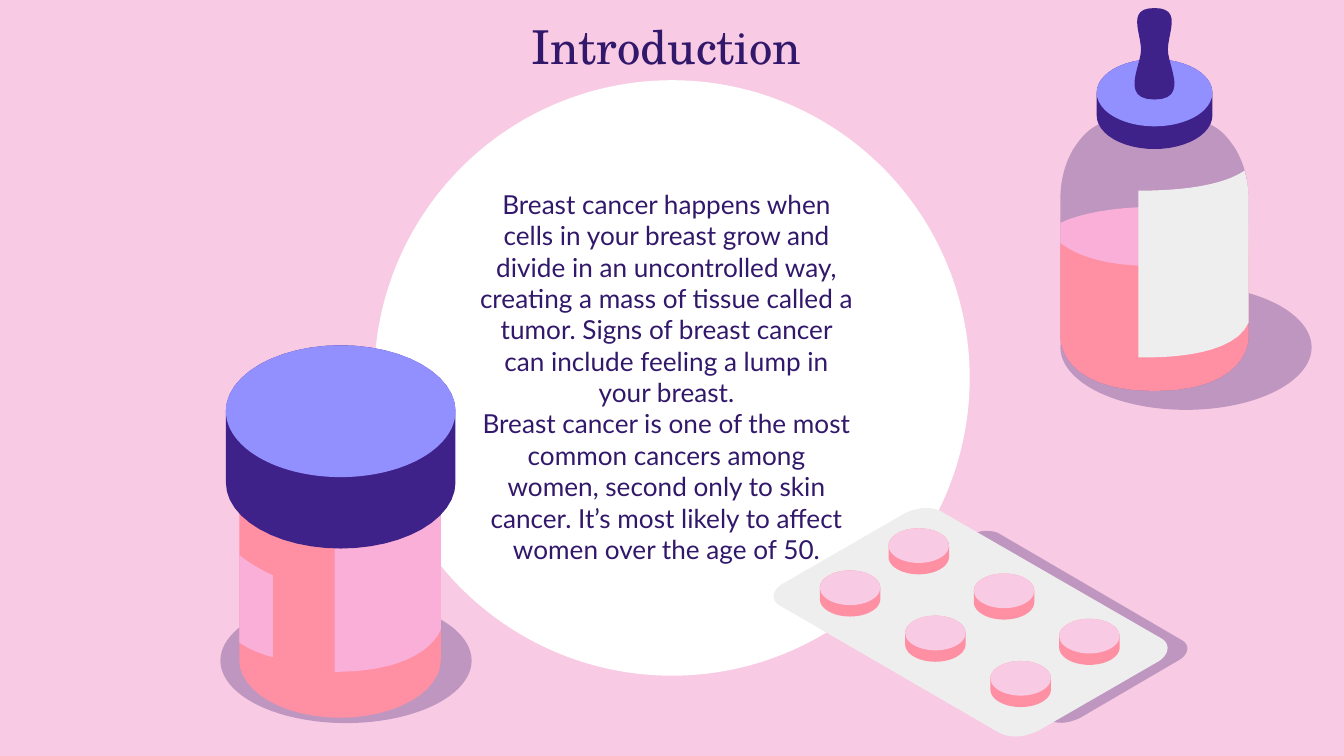
"""Build the Introduction slide with its jar, pill pack and dropper bottle."""
from math import cos, pi, sin
from lxml.etree import SubElement
from pptx import Presentation
from pptx.dml.color import RGBColor
from pptx.enum.shapes import MSO_SHAPE
from pptx.enum.text import MSO_ANCHOR, MSO_AUTO_SIZE, PP_ALIGN
from pptx.oxml.ns import qn
from pptx.util import Pt

INK = RGBColor(0x32, 0x18, 0x6B)
DARK = RGBColor(0x3E, 0x22, 0x89)
LILAC = RGBColor(0x92, 0x90, 0xFF)
CORAL = RGBColor(0xFF, 0x8F, 0xA3)
ROSE = RGBColor(0xF9, 0xAF, 0xD7)
PINK = RGBColor(0xF9, 0xCA, 0xE3)
GREY = RGBColor(0xEE, 0xEE, 0xEE)
WHITE = RGBColor(0xFF, 0xFF, 0xFF)

TITLE = "Introduction"
BODY = [
    "Breast cancer happens when cells in your breast grow and divide in an "
    "uncontrolled way, creating a mass of tissue called a tumor. Signs of "
    "breast cancer can include feeling a lump in your breast.",
    "Breast cancer is one of the most common cancers among women, second only "
    "to skin cancer. It’s most likely to affect women over the age of 50.",
]

PACK = [
    (83.5, 0), (79.2, 0, 74.9, 1.4, 72, 2.9), (7.2, 40.3),
    (0.7, 43.9, 0, 49.7, 5.8, 52.6), (122.4, 120.2),
    (125.3, 121.7, 128.2, 122.4, 131.8, 122.4),
    (135.4, 122.4, 139.7, 121, 143.3, 119.5), (208.1, 82.1),
    (213.8, 78.5, 214.6, 72.7, 209.5, 69.8), (92.2, 2.2),
    (90, 0.7, 86.4, 0, 83.5, 0),
]
JAR_TAGS = [
    [(128.2, 297.4), (128.2, 344.2), (128.2, 344.2, 134.6, 349.2, 146.2, 352.1),
     (146.2, 308.2), (146.2, 308.2, 136.1, 303.8, 128.2, 297.4)],
    [(236.2, 255.6), (179.3, 275.8), (179.3, 360),
     (229.7, 360, 236.2, 337, 236.2, 337)],
]
MID = 618.5
GLASS = [
    (MID, 59), (MID, 59, 607.7, 59, 589.7, 66.2),
    (582.5, 69.1, 578.2, 74.9, 574.6, 80.6),
    (570.2, 88.6, 568.1, 97.2, 568.1, 106.6), (568.1, 181.4),
    (568.1, 181.4, 568.1, 209.5, MID, 209.5),
]
LEVEL = [
    (MID, 110.9), (596.9, 110.9, 578.2, 114.5, 568.1, 119.5), (568.1, 135.4),
    (578.2, 140.4, 596.9, 144, MID, 144),
]
LIQUID = [
    (MID, 142.6), (591.1, 142.6, 576.7, 136.8, 568.1, 130.3), (568.1, 181.4),
    (568.1, 181.4, 568.1, 209.5, MID, 209.5),
]
BULB = [
    (MID, 4.3), (603.4, 4.3, 611.3, 17.3, 611.3, 26.6),
    (611.3, 35.3, 599.8, 53.3, MID, 53.3),
]
LABEL = [
    (666.7, 91.4), (659.5, 96.5, 643.7, 102.2, 609.8, 102.2), (609.8, 191.5),
    (614.9, 191.5), (627.1, 191.5, 661.7, 190.1, 668.9, 172.8), (668.9, 106.6),
    (668.9, 101, 668, 96, 666.7, 91.4),
]


def paint(shape, fill, alpha=None):
    shape.shadow.inherit = False
    shape.fill.solid()
    shape.fill.fore_color.rgb = fill
    shape.line.fill.background()
    if alpha:
        tone = shape.fill._xPr.find(".//" + qn("a:srgbClr"))
        SubElement(tone, qn("a:alpha")).set("val", str(alpha * 1000))
    return shape


def oval(x, y, w, h, fill, alpha=None):
    shape = shapes.add_shape(MSO_SHAPE.OVAL, Pt(x), Pt(y), Pt(w), Pt(h))
    return paint(shape, fill, alpha)


def outline(dots, fill, alpha=None):
    dots = [(Pt(x), Pt(y)) for x, y in dots]
    pen = shapes.build_freeform(*dots[0], scale=1.0)
    pen.add_line_segments(dots[1:], close=True)
    paint(pen.convert_to_shape(), fill, alpha)


def trace(path, steps=12):
    dots = [path[0]]
    for part in path[1:]:
        if len(part) == 2:
            dots.append(part)
            continue
        ends = [dots[-1], part[:2], part[2:4], part[4:]]
        for i in range(1, steps + 1):
            t = i / steps
            mix = ((1 - t) ** 3, 3 * t * (1 - t) ** 2, 3 * t * t * (1 - t), t ** 3)
            dots.append(tuple(sum(m * e[k] for m, e in zip(mix, ends)) for k in (0, 1)))
    return dots


def mirror(path):
    half = trace(path)
    return half + [(2 * MID - x, y) for x, y in reversed(half)]


def place(path, x, y, sx=1, sy=1):
    return [(x + sx * a, y + sy * b) for a, b in trace(path)]


def drum(x, y, w, ring, h, side, top=None):
    turns = [pi * i / 24 for i in range(25)]
    rx, ry = w / 2, ring / 2
    low = [(x + rx + rx * cos(t), y + h - ry + ry * sin(t)) for t in turns]
    high = [(x + rx - rx * cos(t), y + ry - ry * sin(t)) for t in turns]
    outline(low + high, side)
    if top:
        oval(x, y, w, ring, top)


def write(shape, lines, size, font):
    frame = shape.text_frame
    frame.text = "\n".join(lines)
    frame.word_wrap = True
    frame.auto_size = MSO_AUTO_SIZE.NONE
    frame.margin_left = frame.margin_right = Pt(7.2)
    frame.margin_top = frame.margin_bottom = Pt(7.2)
    for para in frame.paragraphs:
        para.alignment = PP_ALIGN.CENTER
        for run in para.runs:
            run.font.size, run.font.name = Pt(size), font
            run.font.color.rgb = INK
    return frame


deck = Presentation()
deck.slide_width, deck.slide_height = Pt(720), Pt(405)
slide = deck.slides.add_slide(deck.slide_layouts[5])
slide.background.fill.solid()
slide.background.fill.fore_color.rgb = PINK
shapes = slide.shapes

disc = oval(200.5, 43, 319, 319, WHITE)
shapes._spTree.insert(2, disc._element)
title = shapes.title
title.left, title.top, title.width, title.height = Pt(160), Pt(2), Pt(394), Pt(45.4)
write(title, [TITLE], 25, "TeX Gyre Schola").vertical_anchor = MSO_ANCHOR.MIDDLE
body = shapes.add_textbox(Pt(249.8), Pt(93.6), Pt(214.6), Pt(308.9))
write(body, BODY, 14, "Lato").vertical_anchor = MSO_ANCHOR.TOP

oval(118.1, 320.4, 134.6, 67, INK, 29)
outline(place(PACK, 459.4, 284.4, 0.83, 0.84), INK, 29)

drum(128.2, 227.5, 108, 62, 157, CORAL)
for tag in JAR_TAGS:
    outline(trace(tag), ROSE)
drum(121, 185, 123, 70.6, 108.9, DARK, LILAC)

outline(place(PACK, 412.6, 272.2), GREY)
for col in (2, 1, 0):
    for row in (0, 1):
        drum(476 + 45.7 * col - 36.8 * row, 283 + 24.25 * col + 22.6 * row,
             32.4, 18.6, 24.7, CORAL, PINK)

oval(568.1, 152.6, 134.6, 67, INK, 29)
outline(mirror(GLASS), INK, 29)
outline(mirror(LEVEL), ROSE)
outline(mirror(LIQUID), CORAL)
drum(587.5, 31.7, 62, 36, 48.2, DARK, LILAC)
outline(mirror(BULB), DARK)
outline(trace(LABEL), GREY)

deck.save("out.pptx")
